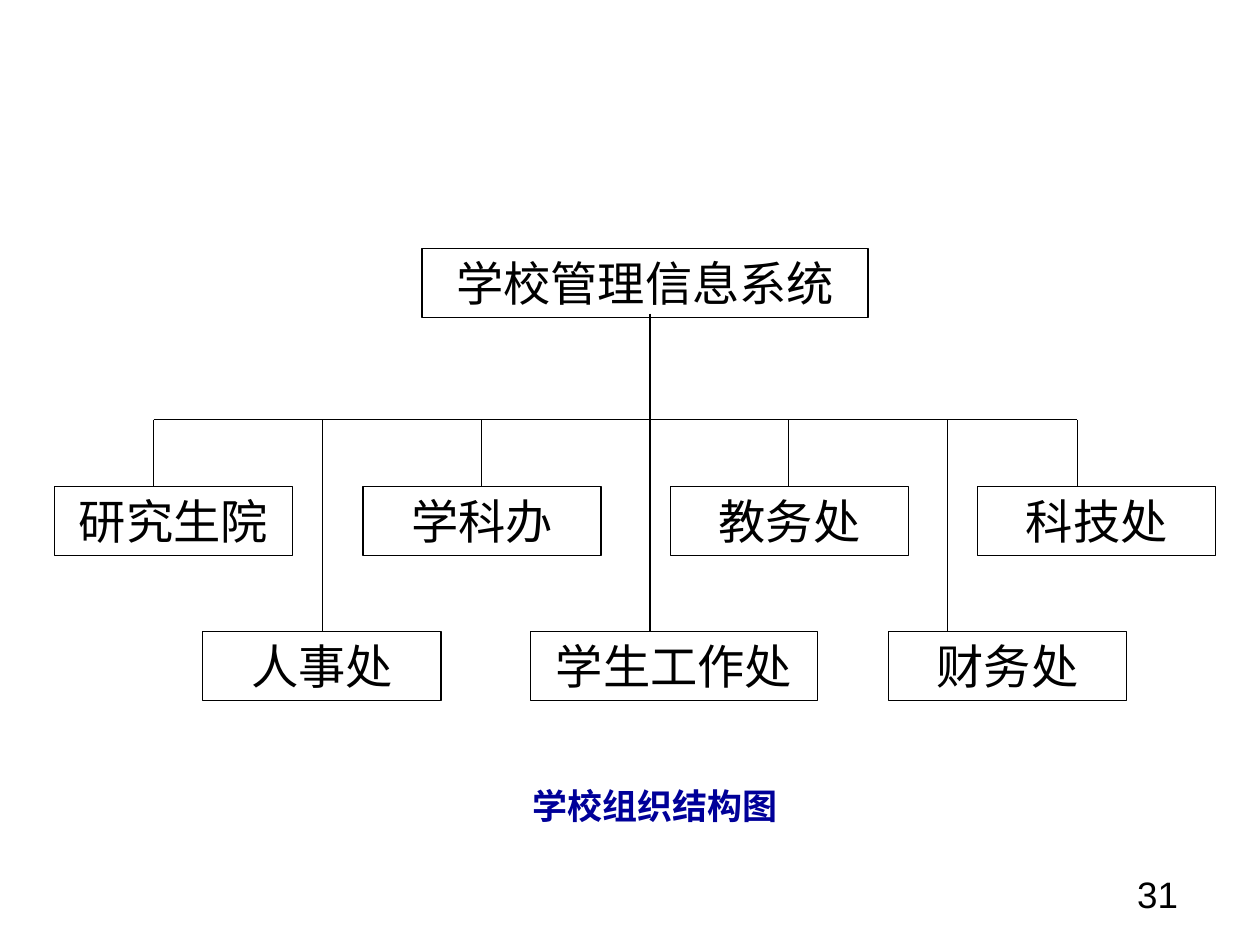
from lxml.etree import SubElement
from pptx import Presentation
from pptx.dml.color import RGBColor
from pptx.enum.shapes import MSO_CONNECTOR as CONNECTOR, MSO_SHAPE as SHAPE
from pptx.enum.text import MSO_ANCHOR as ANCHOR, PP_ALIGN as ALIGN
from pptx.oxml.ns import qn
from pptx.util import Inches, Pt


def color(value):
    return RGBColor.from_string(value)


def write(box, text, align, margins, font):
    frame = box.text_frame
    frame.word_wrap = True
    frame.vertical_anchor = ANCHOR.MIDDLE
    frame.margin_left = frame.margin_right = Inches(margins[0])
    frame.margin_top = frame.margin_bottom = Inches(margins[1])
    para = frame.paragraphs[0]
    para.alignment = align
    span = para.add_run()
    span.text = text
    span.font.color.rgb = color(font["color"])
    for name in ("name", "size", "bold"):
        setattr(span.font, name, font[name])


BLACK = "000000"
BODY = {"name": "Arial", "size": Pt(27), "bold": False, "color": BLACK}
CAPTION = {**BODY, "size": Pt(20), "bold": True, "color": "000099"}
NUMBER = {**BODY, "size": Pt(21)}

BOX_HEIGHT = 0.55
ROOT_TOP, BUS_TOP, UPPER_TOP, LOWER_TOP = 1.97, 3.33, 3.86, 5.01
TRUNK = 5.16

departments = [
    ("研究生院", 0.43, UPPER_TOP, 1.89, 1.22),
    ("人事处", 1.61, LOWER_TOP, 1.89, 2.56),
    ("学科办", 2.88, UPPER_TOP, 1.89, 3.82),
    ("学生工作处", 4.21, LOWER_TOP, 2.28, TRUNK),
    ("教务处", 5.32, UPPER_TOP, 1.89, 6.26),
    ("财务处", 7.05, LOWER_TOP, 1.89, 7.52),
    ("科技处", 7.76, UPPER_TOP, 1.89, 8.55),
]

deck = Presentation()
deck.slide_width, deck.slide_height = Inches(10), Inches(7.5)
page = deck.slides.add_slide(deck.slide_layouts[6])

boxes = [("学校管理信息系统", 3.35, ROOT_TOP, 3.54)]
boxes += [department[:4] for department in departments]
for text, left, top, width in boxes:
    box = page.shapes.add_shape(
        SHAPE.RECTANGLE, Inches(left), Inches(top), Inches(width), Inches(BOX_HEIGHT)
    )
    box.shadow.inherit = False
    box.fill.background()
    box.line.color.rgb = color(BLACK)
    box.line.width = Pt(0.75)
    write(box, text, ALIGN.CENTER, (0.1, 0.05), BODY)

first_drop, last_drop = departments[0][4], departments[-1][4]
lines = [
    (first_drop, BUS_TOP, last_drop, BUS_TOP),
    (TRUNK, 2.49, TRUNK, BUS_TOP),
]
lines += [(drop, BUS_TOP, drop, top) for _, _, top, _, drop in departments]
for ends in lines:
    line = page.shapes.add_connector(CONNECTOR.STRAIGHT, *map(Inches, ends))
    line.line.color.rgb = color(BLACK)
    line.line.width = Pt(0.75)
    SubElement(line._element.spPr, qn("a:effectLst"))

labels = [
    ("学校组织结构图", (4.06, 6.17, 2.28, 0.44), ALIGN.CENTER, (0.1, 0.05), CAPTION),
    ("31", (7.17, 6.83, 2.33, 0.52), ALIGN.RIGHT, (0.15, 0.08), NUMBER),
]
for text, place, align, margins, font in labels:
    box = page.shapes.add_textbox(*map(Inches, place))
    write(box, text, align, margins, font)

deck.save("out.pptx")
